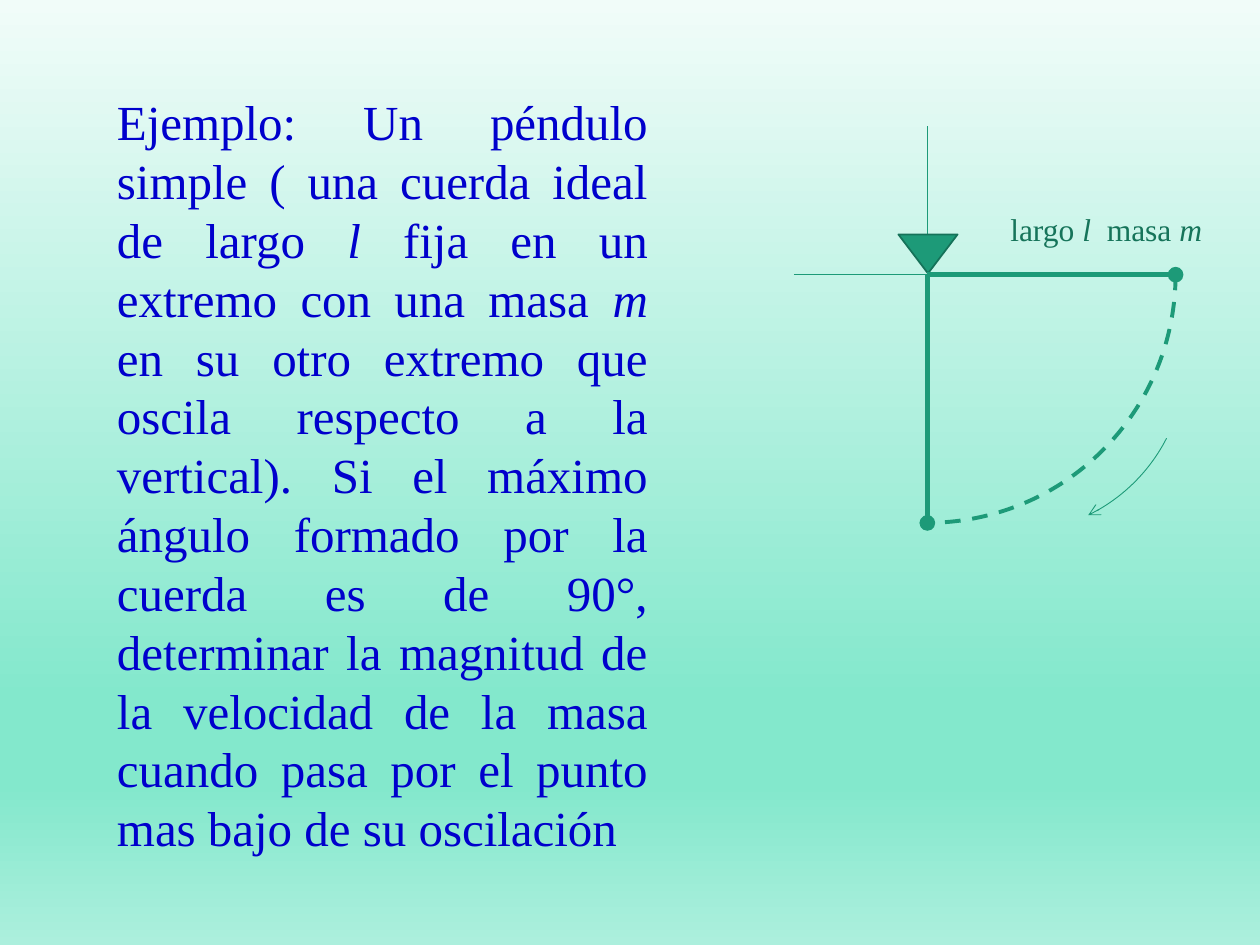
import pptx
import pptx.dml.color
import pptx.enum.dml
import pptx.enum.shapes
import pptx.enum.text
import pptx.oxml
import pptx.oxml.ns
import pptx.util
from dataclasses import dataclass

Inches = pptx.util.Inches
Pt = pptx.util.Pt
RGB = pptx.dml.color.RGBColor.from_string
qn = pptx.oxml.ns.qn
SHAPE = pptx.enum.shapes.MSO_SHAPE
ALIGN = pptx.enum.text.PP_ALIGN


@dataclass(frozen=True)
class Theme:
    font: str = "Times New Roman"
    statement: str = "0000CC"
    label: str = "16745A"
    pendulum: str = "1D9A78"
    pivot_edge: str = "157259"
    sky: tuple = ((0, "F1FCF9"), (74, "83E8CC"), (83, "83E8CC"), (100, "ACEFDD"))
    statement_size: int = 28
    label_size: int = 18


theme = Theme()


def style_line(shape, width, color=theme.pendulum, end=None):
    shape.line.color.rgb = RGB(color)
    shape.line.width = Pt(width)
    properties = shape._element.spPr
    if end:
        tail = properties.find(qn("a:ln")).makeelement(qn("a:tailEnd"), {"type": end})
        properties.find(qn("a:ln")).append(tail)
    if properties.find(qn("a:effectLst")) is None:
        properties.append(properties.makeelement(qn("a:effectLst"), {}))


def add_text(box, runs, size, color, align):
    """Add a text box; runs are (text, italic) pairs."""
    frame = slide.shapes.add_textbox(*map(Inches, box)).text_frame
    frame.word_wrap = True
    frame.auto_size = pptx.enum.text.MSO_AUTO_SIZE.SHAPE_TO_FIT_TEXT
    paragraph = frame.paragraphs[0]
    paragraph.alignment = align
    for text, italic in runs:
        run = paragraph.add_run()
        run.text = text
        run.font.name = theme.font
        run.font.size = Pt(size)
        run.font.italic = italic
        run.font.color.rgb = RGB(color)


presentation = pptx.Presentation()
presentation.slide_width = Inches(10)
presentation.slide_height = Inches(7.5)
slide = presentation.slides.add_slide(presentation.slide_layouts[6])

# Background gradient, top to bottom
backdrop = slide.background.fill
backdrop.gradient()
backdrop.gradient_angle = 270
stops = slide._element.find(".//" + qn("a:gsLst"))
for stop in list(stops):
    stops.remove(stop)
for percent, color in theme.sky:
    stop = stops.makeelement(qn("a:gs"), {"pos": str(percent * 1000)})
    stop.append(stop.makeelement(qn("a:srgbClr"), {"val": color}))
    stops.append(stop)

# Problem statement
add_text(
    (0.83, 0.68, 4.41, 6.23),
    [
        ("Ejemplo: Un péndulo simple ( una cuerda ideal de largo ", False),
        ("l", True),
        (" fija en un extremo con una masa ", False),
        ("m", True),
        (" en su otro extremo que oscila respecto a la vertical). Si el máximo "
         "ángulo formado por la cuerda es de 90°, determinar la magnitud de la "
         "velocidad de la masa cuando pasa por el punto mas bajo de su oscilación", False),
    ],
    theme.statement_size, theme.statement, ALIGN.JUSTIFY,
)

# Pendulum: everything hangs from the pivot
pivot_x, pivot_y, length = 7.36, 2.18, 1.97

swing = slide.shapes.add_shape(
    SHAPE.ARC, Inches(pivot_x - length), Inches(pivot_y - length),
    Inches(2 * length), Inches(2 * length))
swing.rotation = 90
swing.fill.background()
swing.line.dash_style = pptx.enum.dml.MSO_LINE.DASH
style_line(swing, 2.25)

axes = [
    ((6.3, pivot_y, 8.74, pivot_y), 0.5, None),
    ((pivot_x, 1, pivot_x, 3.69), 0.5, None),
]
cords = [
    ((pivot_x, pivot_y, pivot_x + length, pivot_y), 3, "oval"),
    ((pivot_x, pivot_y, pivot_x, pivot_y + length), 3, "oval"),
]
for ends, width, end in axes:
    axis = slide.shapes.add_connector(
        pptx.enum.shapes.MSO_CONNECTOR.STRAIGHT, *map(Inches, ends))
    style_line(axis, width, end=end)

pivot = slide.shapes.add_shape(
    SHAPE.ISOSCELES_TRIANGLE, Inches(7.13), Inches(1.86), Inches(0.47), Inches(0.31))
pivot.rotation = 180
pivot.fill.solid()
pivot.fill.fore_color.rgb = RGB(theme.pendulum)
style_line(pivot, 1, theme.pivot_edge)

for ends, width, end in cords:
    cord = slide.shapes.add_connector(
        pptx.enum.shapes.MSO_CONNECTOR.STRAIGHT, *map(Inches, ends))
    style_line(cord, width, end=end)

direction = slide.shapes.add_shape(
    SHAPE.ARC, Inches(6.65), Inches(1.47), Inches(2.76), Inches(2.76))
direction.rotation = 90
direction.adjustments[0] = 178.27
direction.adjustments[1] = 200.36
direction.fill.background()
style_line(direction, 0.5, end="arrow")

add_text(
    (7.92, 1.62, 1.73, 0.4),
    [("largo ", False), ("l  ", True), ("masa", False), (" m", True)],
    theme.label_size, theme.label, ALIGN.LEFT,
)

presentation.save("out.pptx")
